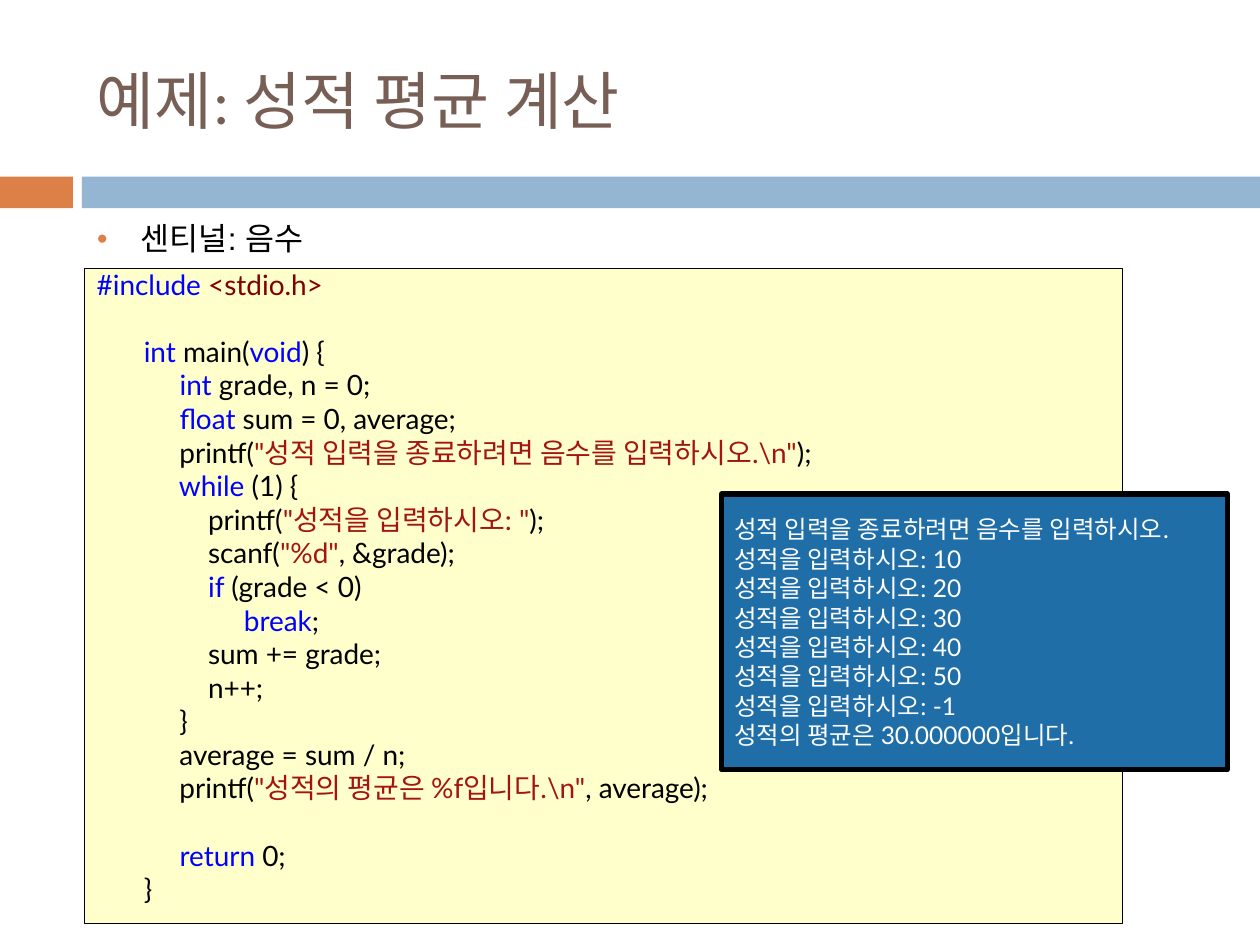
"""Build a lecture slide with a C listing that averages grades and its console output."""
from dataclasses import dataclass
from typing import Optional

from lxml.etree import SubElement
from pptx import Presentation
from pptx.dml.color import RGBColor
from pptx.enum.shapes import MSO_SHAPE
from pptx.enum.text import MSO_ANCHOR, PP_ALIGN
from pptx.oxml.ns import qn
from pptx.util import Cm, Pt

ORANGE = "DD8047"
BLACK = "000000"
KEYWORD = "0000FF"
HEADER = "800000"
LITERAL = "A31515"
LINE_HEIGHT = 15
LINE_GAP = 4.2


@dataclass(frozen=True)
class Frame:
    left: float
    top: float
    width: float
    height: float

    def lengths(self) -> tuple:
        return Cm(self.left), Cm(self.top), Cm(self.width), Cm(self.height)


@dataclass(frozen=True)
class Panel:
    frame: Frame
    fill: str
    outline: Optional[float] = None
    anchor: MSO_ANCHOR = MSO_ANCHOR.TOP


@dataclass(frozen=True)
class Span:
    text: str
    color: str = BLACK


@dataclass(frozen=True)
class Style:
    font: str
    size: float


TITLE_FRAME = Frame(1.7, 0.64, 22.66, 2.74)
BULLET_FRAME = Frame(1.7, 4.29, 22.66, 1.27)
BARS = [
    Panel(Frame(0, 3.56, 1.47, 0.64), ORANGE),
    Panel(Frame(1.65, 3.56, 23.75, 0.64), "94B6D2"),
]
CODE_PANEL = Panel(Frame(1.7, 5.41, 20.93, 13.21), "FFFFCC", 0.25)
CONSOLE_PANEL = Panel(Frame(14.55, 9.96, 10.19, 5.56), "1F6EA7", 3, MSO_ANCHOR.MIDDLE)

CODE_STYLE = Style("Lato", 16)
CONSOLE_STYLE = Style("Lato", 14)

CODE_BLOCKS = [
    [[Span("#include ", KEYWORD), Span("<stdio.h>", HEADER)]],
    [
        [Span("int", KEYWORD), Span(" main("), Span("void", KEYWORD), Span(") {")],
        [Span("     "), Span("int", KEYWORD), Span(" grade, n = 0;")],
        [Span("     "), Span("float", KEYWORD), Span(" sum = 0, average;")],
        [
            Span("     printf("),
            Span(r'"성적 입력을 종료하려면 음수를 입력하시오.\n"', LITERAL),
            Span(");"),
        ],
        [Span("     while", KEYWORD), Span(" (1) {")],
        [Span("         printf("), Span('"성적을 입력하시오: "', LITERAL), Span(");")],
        [Span("         scanf("), Span('"%d"', LITERAL), Span(", &grade);")],
        [Span("         "), Span("if ", KEYWORD), Span("(grade < 0)")],
        [Span("              "), Span("break", KEYWORD), Span(";")],
        [Span("         sum += grade;")],
        [Span("         n++;")],
        [Span("     }")],
        [Span("     average = sum / n;")],
        [
            Span("     printf("),
            Span(r'"성적의 평균은 %f입니다.\n"', LITERAL),
            Span(", average);"),
        ],
    ],
    [
        [Span("     "), Span("return", KEYWORD), Span(" 0;")],
        [Span("}")],
    ],
]
CONSOLE_LINES = [
    "성적 입력을 종료하려면 음수를 입력하시오.",
    *(f"성적을 입력하시오: {grade}" for grade in (10, 20, 30, 40, 50, -1)),
    "성적의 평균은 30.000000입니다.",
]


def rgb(color: str) -> RGBColor:
    return RGBColor.from_string(color)


def add_span(para, span: Span, style: Style) -> None:
    run = para.add_run()
    run.text = span.text
    run.font.name = style.font
    run.font.size = Pt(style.size)
    run.font.color.rgb = rgb(span.color)


def next_para(text_frame, index: int):
    para = text_frame.add_paragraph() if index else text_frame.paragraphs[0]
    para.alignment = PP_ALIGN.LEFT
    return para


def set_indent(para, margin: float, first: float) -> None:
    properties = para._p.get_or_add_pPr()
    properties.set("marL", str(Cm(margin)))
    properties.set("indent", str(Cm(first)))


def add_panel(page, panel: Panel):
    box = page.shapes.add_shape(MSO_SHAPE.RECTANGLE, *panel.frame.lengths())
    box.shadow.inherit = False
    box.fill.solid()
    box.fill.fore_color.rgb = rgb(panel.fill)
    if panel.outline is None:
        box.line.fill.background()
    else:
        box.line.color.rgb = rgb(BLACK)
        box.line.width = Pt(panel.outline)
    box.text_frame.word_wrap = True
    box.text_frame.vertical_anchor = panel.anchor
    return box


def add_title(page) -> None:
    title = page.shapes.title
    title.left, title.top, title.width, title.height = TITLE_FRAME.lengths()
    title.text_frame.vertical_anchor = MSO_ANCHOR.MIDDLE
    para = next_para(title.text_frame, 0)
    add_span(para, Span("예제: 성적 평균 계산", "775F55"), Style("Calibri", 36))


def add_bullet(page) -> None:
    box = page.shapes.add_textbox(*BULLET_FRAME.lengths())
    box.text_frame.word_wrap = True
    para = next_para(box.text_frame, 0)
    set_indent(para, 0.89, -0.89)
    properties = para._p.get_or_add_pPr()
    bullet_color = SubElement(properties, qn("a:buClr"))
    SubElement(bullet_color, qn("a:srgbClr"), val=ORANGE)
    SubElement(properties, qn("a:buSzPct"), val="60000")
    SubElement(properties, qn("a:buFont"), typeface="Arial")
    SubElement(properties, qn("a:buChar"), char="●")
    add_span(para, Span("센티널: 음수"), Style("Arial", 18))


def add_code(page) -> None:
    text_frame = add_panel(page, CODE_PANEL).text_frame
    index = 0
    for block in CODE_BLOCKS:
        for position, line in enumerate(block):
            para = next_para(text_frame, index)
            set_indent(para, 0.95, 0 if index else -0.95)
            para.line_spacing = Pt(LINE_HEIGHT)
            if index:
                blank = 0 if position else LINE_HEIGHT + LINE_GAP
                para.space_before = Pt(LINE_GAP + blank)
            for span in line:
                add_span(para, span, CODE_STYLE)
            index += 1


def add_console(page) -> None:
    text_frame = add_panel(page, CONSOLE_PANEL).text_frame
    for index, line in enumerate(CONSOLE_LINES):
        add_span(next_para(text_frame, index), Span(line, "FFFFFF"), CONSOLE_STYLE)


def main() -> None:
    deck = Presentation()
    deck.slide_width, deck.slide_height = Cm(25.4), Cm(19.05)
    page = deck.slides.add_slide(deck.slide_layouts[5])
    for bar in BARS:
        add_panel(page, bar)
    add_title(page)
    add_code(page)
    add_console(page)
    add_bullet(page)
    deck.save("out.pptx")


if __name__ == "__main__":
    main()
